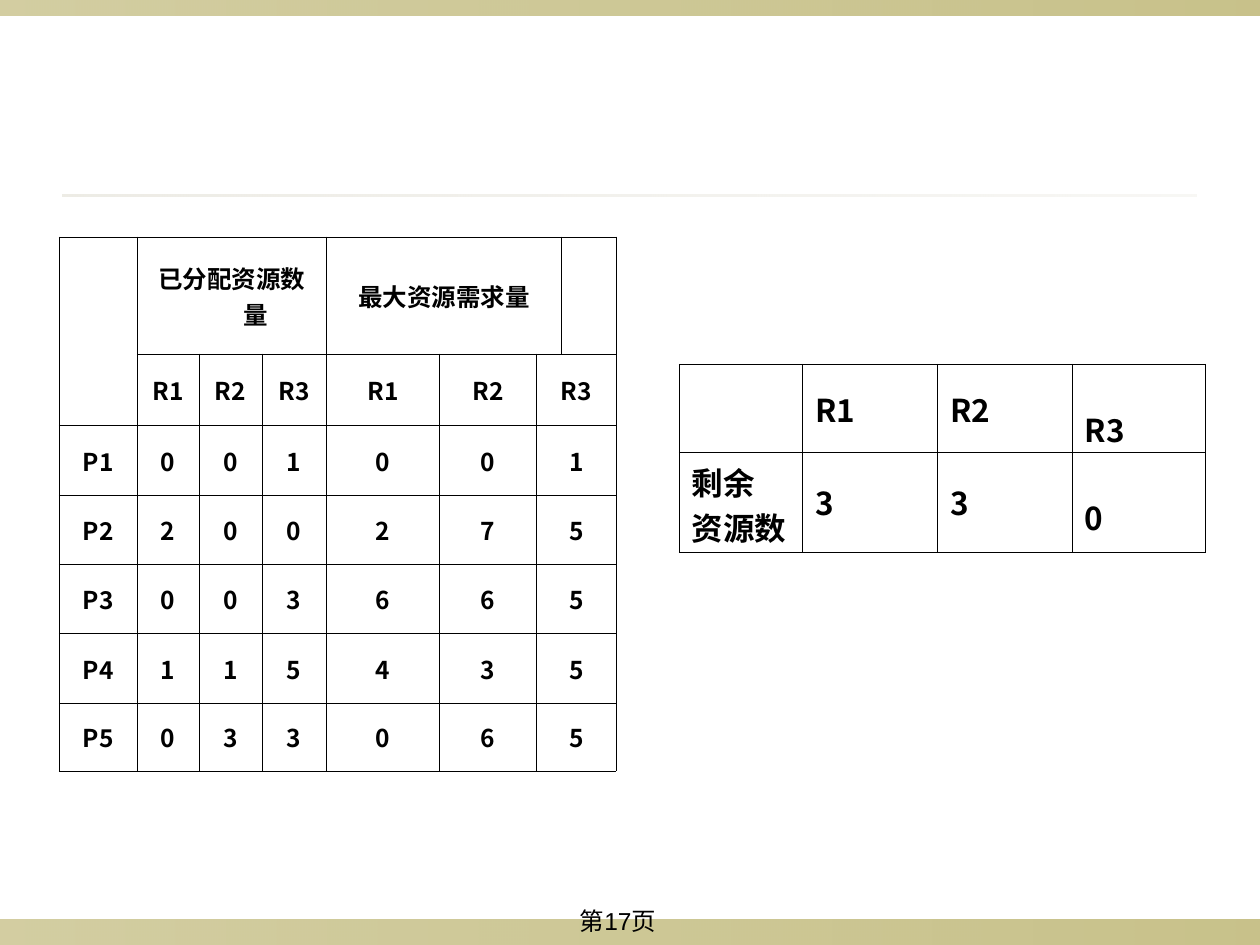
from lxml import etree
from pptx import Presentation
from pptx.dml.color import RGBColor
from pptx.enum.shapes import MSO_SHAPE
from pptx.enum.text import MSO_ANCHOR, PP_ALIGN
from pptx.oxml.ns import qn
from pptx.util import Inches, Pt

RECT = MSO_SHAPE.RECTANGLE
TOP, MIDDLE = MSO_ANCHOR.TOP, MSO_ANCHOR.MIDDLE
LEFT, CENTER = PP_ALIGN.LEFT, PP_ALIGN.CENTER

COLORS = {"band": "918415", "rule": "DCD9CC", "ink": "000000"}
CJK = "Noto Sans CJK SC"

prs = Presentation()
prs.slide_width, prs.slide_height = Inches(10), Inches(7.5)
slide = prs.slides.add_slide(prs.slide_layouts[6])


def style_runs(p, size, font, bold=False):
    for r in p.runs:
        r.font.size, r.font.bold, r.font.name = Pt(size), bold, font
        r.font.color.rgb = RGBColor.from_string(COLORS["ink"])
        etree.SubElement(r.font._element, qn("a:ea"), typeface=CJK)


def add_grid(x, y, cols, rows, texts, size, align, side):
    """Add a plain ruled table and fill it with bold text."""
    table = slide.shapes.add_table(len(rows), len(cols), Inches(x), Inches(y),
                                   Inches(sum(cols)), Inches(sum(rows))).table
    table.first_row = table.horz_banding = False
    for col, width in zip(table.columns, cols):
        col.width = Inches(width)
    for row, height in zip(table.rows, rows):
        row.height = Inches(height)
    for i, line in enumerate(texts):
        for j, text in enumerate(line):
            cell = table.cell(i, j)
            cell.margin_left = cell.margin_right = Inches(side)
            cell.margin_top = cell.margin_bottom = Inches(0.05)
            cell.vertical_anchor = MIDDLE
            # Thin border on all four edges
            for edge in ("lnL", "lnR", "lnT", "lnB"):
                ln = etree.SubElement(cell._tc.tcPr, qn("a:" + edge), w=str(Pt(0.45)))
                solid = etree.SubElement(ln, qn("a:solidFill"))
                etree.SubElement(solid, qn("a:srgbClr"), val=COLORS["ink"])
            cell.fill.background()
            if not text:
                continue
            cell.text_frame.text = text
            for p in cell.text_frame.paragraphs:
                p.alignment = align
                p._p.get_or_add_pPr().set("marL", str(Inches(0.38)))
                p._p.pPr.set("indent", str(Inches(-0.38)))
                style_runs(p, size, CJK, bold=True)
    return table


# Bands along the bottom and top edges, and the rule under the title area
for x, y, w, h, color, opacities in [
    (0, 7.3, 10, 0.2, "band", (40, 50)),
    (0, 0, 10, 0.12, "band", (40, 50)),
    (0.5, 1.54, 9, 0.02, "rule", (50, 20)),
]:
    s = slide.shapes.add_shape(RECT, Inches(x), Inches(y), Inches(w), Inches(h))
    s.shadow.inherit = False
    s.line.fill.background()
    s.fill.gradient()
    s.fill.gradient_angle = 0
    for stop in s.fill.gradient_stops:
        stop.color.rgb = RGBColor.from_string(COLORS[color])
    for clr, opacity in zip(s._element.spPr.iter(qn("a:srgbClr")), opacities):
        etree.SubElement(clr, qn("a:alpha"), val=str(opacity * 1000))

# Page number
tf = slide.shapes.add_textbox(Inches(3.74), Inches(7.14), Inches(2.33), Inches(0.36)).text_frame
tf.word_wrap = True
tf.text = "第17页"
tf.paragraphs[0].alignment = CENTER
style_runs(tf.paragraphs[0], 14, "Arial")

# Allocated and maximum resources per process
processes = {
    "P1": "001001",
    "P2": "200275",
    "P3": "003665",
    "P4": "115435",
    "P5": "033065",
}
texts = [["", "已分配资源数量", "", "", "最大资源需求量", "", "", ""],
         ["", *["R1", "R2", "R3"] * 2, ""]]
texts += [[name, *counts, ""] for name, counts in processes.items()]
table = add_grid(0.47, 1.88, [0.62, 0.49, 0.5, 0.51, 0.9, 0.77, 0.2, 0.43],
                 [0.93, 0.57] + [0.55] * 4 + [0.54], texts, 14, CENTER, 0.07)
table.cell(0, 0).merge(table.cell(1, 0))
table.cell(0, 1).merge(table.cell(0, 3))
table.cell(0, 4).merge(table.cell(0, 6))
for i in range(1, len(texts)):
    table.cell(i, 6).merge(table.cell(i, 7))

# Remaining resources
texts = [["", "R1", "R2", "R3"], ["剩余\n资源数", "3", "3", "0"]]
table = add_grid(5.39, 2.89, [0.98, 1.07, 1.07, 1.06], [0.7, 0.79], texts, 18, LEFT, 0.1)
# The last column sits lower than the others
for i in range(len(texts)):
    cell = table.cell(i, 3)
    cell.vertical_anchor = TOP
    cell.margin_top, cell.margin_bottom = Inches(0.33), 0

prs.save("out.pptx")
